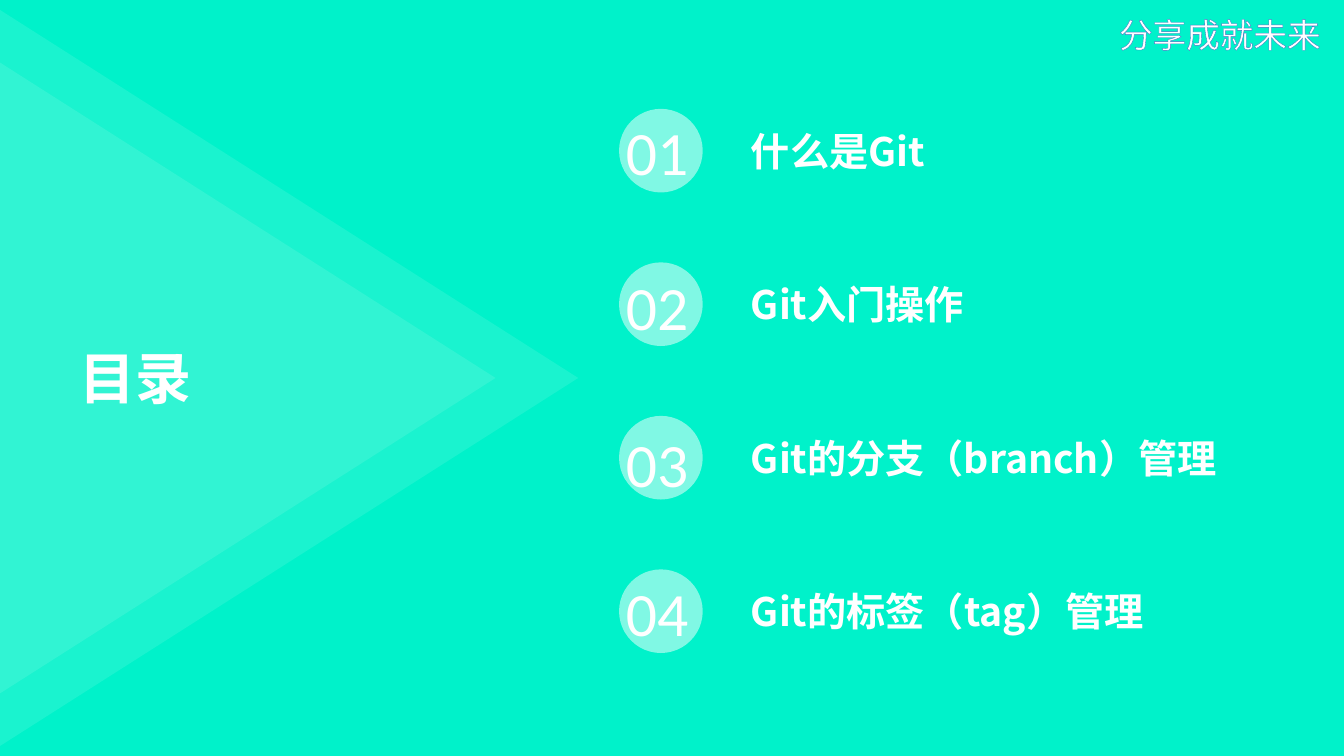
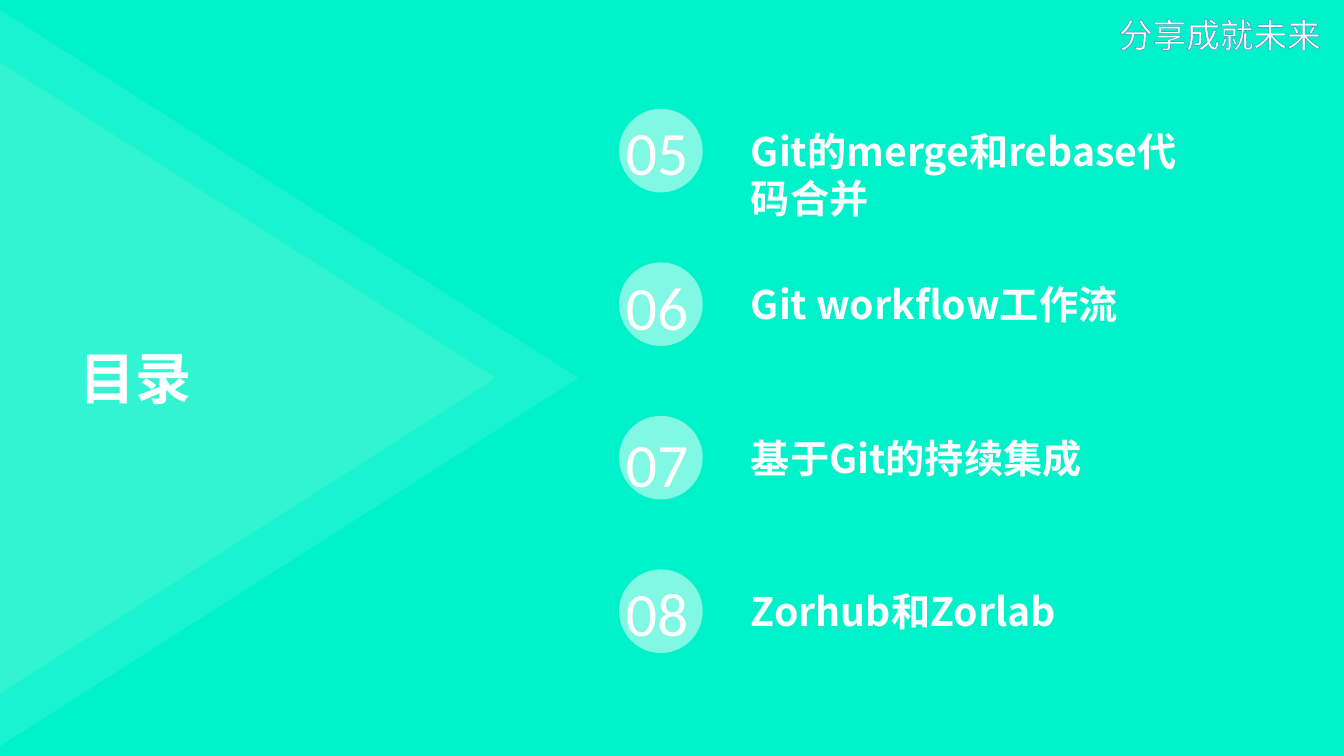
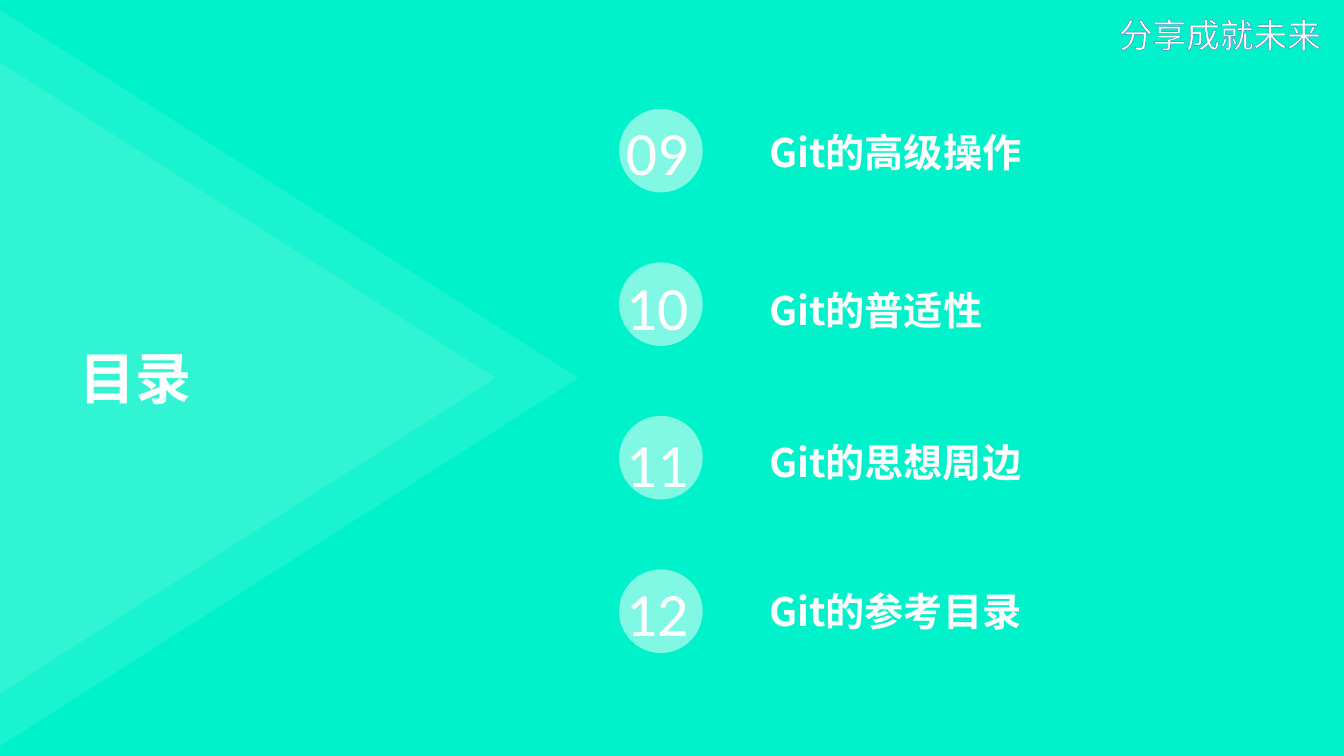
from lxml.etree import SubElement
from pptx import Presentation
from pptx.dml.color import RGBColor
from pptx.enum.shapes import MSO_SHAPE
from pptx.enum.text import MSO_AUTO_SIZE
from pptx.oxml.ns import qn
from pptx.util import Inches, Pt

MINT, WHITE, BLUE = "00F2CA", "FFFFFF", "4472C4"
LATIN, CJK = "Calibri", "Noto Sans CJK SC"
TITLE, SLOGAN = "目录", "分享成就未来"

# Each slide: left edge of the labels, then (label, width, nudge down) by row
SLIDES = [
    (7.35, [("什么是Git", 4.71, 0),
            ("Git入门操作", 4.71, 0),
            ("Git的分支（branch）管理", 4.97, 0),
            ("Git的标签（tag）管理", 4.71, 0)]),
    (7.35, [("Git的merge和rebase代码合并", 4.71, 0),
            ("Git workflow工作流", 4.71, 0),
            ("基于Git的持续集成", 4.71, 0),
            ("Zorhub和Zorlab", 4.71, 0)]),
    (7.53, [("Git的高级操作", 4.71, 0.01),
            ("Git的普适性", 4.71, 0.06),
            ("Git的思想周边", 4.93, 0.04),
            ("Git的参考目录", 4.71, 0)]),
]

ROW_TOP, ROW_PITCH = 1.08, 1.523
DISC_LEFT, DISC = 6.14, 0.83
NUMBER_LEFT, NUMBER_W, NUMBER_H = 6.11, 0.85, 0.84
NUMBER_NUDGES = [0, 0.02, 0.05, 0.01]
LABEL_H = 0.57
TRIANGLE_LEFTS = [-0.96, -1.78]
TRIANGLE_W, TRIANGLE_H = 7.5, 5.89


def rgb(color):
    return RGBColor.from_string(color)


def add_veil(shapes, kind, x, y, w, h, opacity):
    """Add a white shape with the given opacity in percent."""
    s = shapes.add_shape(kind, Inches(x), Inches(y), Inches(w), Inches(h))
    s.shadow.inherit = False
    s.line.fill.background()
    s.fill.solid()
    s.fill.fore_color.rgb = rgb(WHITE)
    color = s.fill._xPr.find(".//" + qn("a:srgbClr"))
    SubElement(color, qn("a:alpha"), val=str(opacity * 1000))
    return s


def add_text(shapes, text, x, y, w, h, size, font=LATIN, bold=False, wrap=True):
    s = shapes.add_textbox(Inches(x), Inches(y), Inches(w), Inches(h))
    tf = s.text_frame
    tf.word_wrap = wrap
    tf.auto_size = MSO_AUTO_SIZE.SHAPE_TO_FIT_TEXT
    r = tf.paragraphs[0].add_run()
    r.text = text
    r.font.size, r.font.bold, r.font.name = Pt(size), bold, font
    r.font.color.rgb = rgb(WHITE)
    r.font._element.find(qn("a:latin")).addnext(
        r.font._element.makeelement(qn("a:ea"), {"typeface": CJK}))
    return r


def outline(r, color, width):
    rPr = r.font._element
    ln = rPr.makeelement(qn("a:ln"), {"w": str(Pt(width))})
    SubElement(SubElement(ln, qn("a:solidFill")), qn("a:srgbClr"), val=color)
    rPr.insert(0, ln)


def add_row(shapes, row, number, left, label, width, nudge):
    top = ROW_TOP + row * ROW_PITCH
    badge = shapes.add_group_shape().shapes
    add_veil(badge, MSO_SHAPE.OVAL, DISC_LEFT, top, DISC, DISC, 50)
    add_text(badge, f"{number:02}", NUMBER_LEFT, top + NUMBER_NUDGES[row],
             NUMBER_W, NUMBER_H, 44)
    add_text(shapes, label, left, top + (DISC - LABEL_H) / 2 + nudge,
             width, LABEL_H, 28, CJK, bold=True)


def add_contents_slide(prs, first, left, rows):
    shapes = prs.slides.add_slide(prs.slide_layouts[6]).shapes
    for x in TRIANGLE_LEFTS:
        s = add_veil(shapes, MSO_SHAPE.ISOSCELES_TRIANGLE, x,
                     (7.5 - TRIANGLE_H) / 2, TRIANGLE_W, TRIANGLE_H, 10)
        s.rotation = 90
    add_text(shapes, TITLE, 0.69, 3.36, 2.75, 0.77, 40, bold=True)
    for row, item in enumerate(rows):
        add_row(shapes, row, first + row, left, *item)
    r = add_text(shapes, SLOGAN, 11, 0.09, 2.2, 0.5, 24, wrap=False)
    outline(r, BLUE, 0.8)


def main():
    prs = Presentation()
    prs.slide_width, prs.slide_height = Inches(13.33), Inches(7.5)
    fill = prs.slide_master.background.fill
    fill.solid()
    fill.fore_color.rgb = rgb(MINT)
    first = 1
    for left, rows in SLIDES:
        add_contents_slide(prs, first, left, rows)
        first += len(rows)
    prs.save("out.pptx")


if __name__ == "__main__":
    main()
